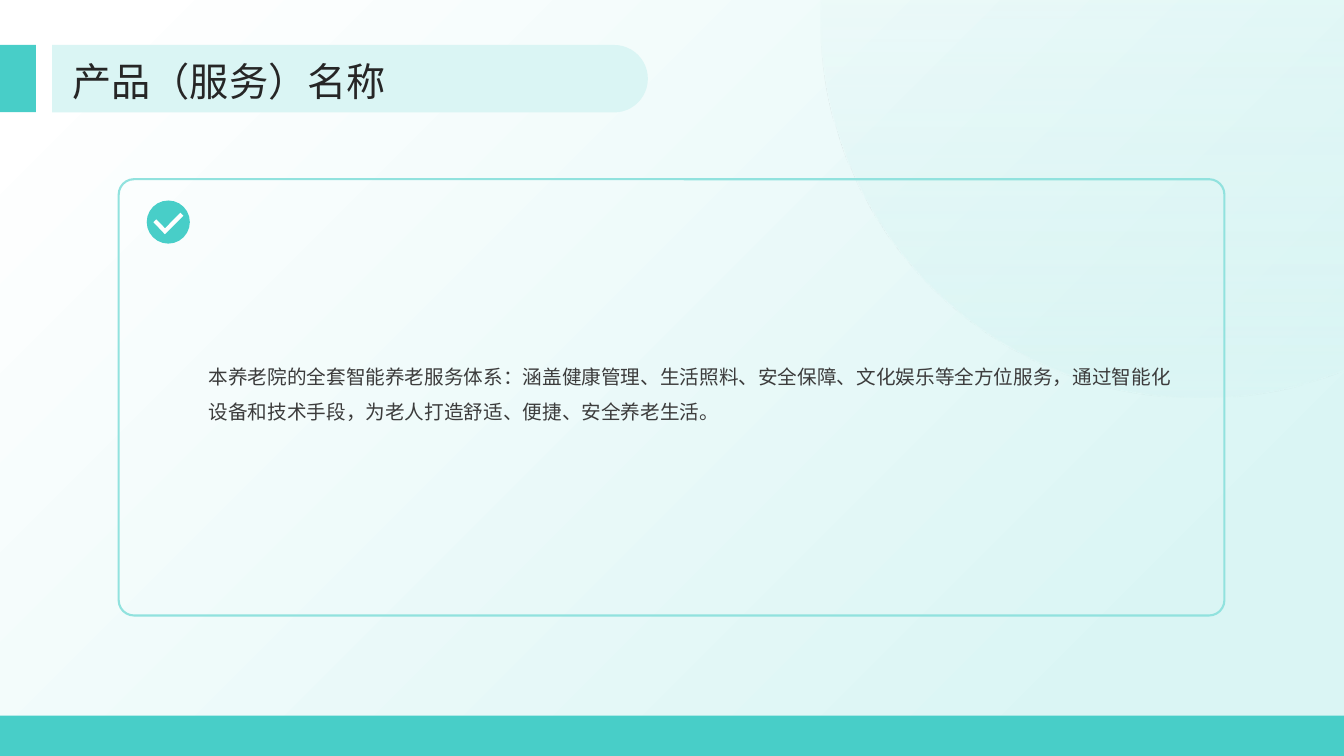
from dataclasses import dataclass, field

from lxml import etree
from pptx import Presentation
from pptx.dml.color import RGBColor
from pptx.enum.shapes import MSO_SHAPE
from pptx.enum.text import MSO_ANCHOR, MSO_AUTO_SIZE, PP_ALIGN
from pptx.oxml.ns import qn
from pptx.shapes.base import BaseShape
from pptx.slide import Slide
from pptx.util import Pt

RECT = MSO_SHAPE.RECTANGLE
OVAL = MSO_SHAPE.OVAL
ROUNDED = MSO_SHAPE.ROUNDED_RECTANGLE
ROUND_TOP = MSO_SHAPE.ROUND_2_SAME_RECTANGLE
CONNECTOR_DOT = MSO_SHAPE.FLOWCHART_CONNECTOR
MIDDLE = MSO_ANCHOR.MIDDLE
NO_AUTOFIT = MSO_AUTO_SIZE.NONE
LEFT = PP_ALIGN.LEFT

SLIDE_WIDTH, SLIDE_HEIGHT = 960, 540
TITLE_AND_CONTENT = 1


@dataclass(frozen=True)
class Theme:
    accent: str = "48CEC8"
    frame: str = "91E2DE"
    pale: str = "DAF5F4"
    white: str = "FFFFFF"
    title_text: str = "262626"
    body_text: str = "3C3C3C"
    font: str = "Noto Sans CJK SC"
    title_size: float = 28
    body_size: float = 14


@dataclass(frozen=True)
class Stop:
    position: float
    color: str
    alpha: int = 100


@dataclass(frozen=True)
class Panel:
    kind: int
    box: tuple[float, float, float, float]
    fill: str | None = None
    gradient: tuple[Stop, ...] = ()
    line: str | None = None
    rotation: float = 0
    adjustments: tuple[float, ...] = ()


@dataclass(frozen=True)
class Wording:
    text: str
    box: tuple[float, float, float, float]
    size: float
    color: str
    line_spacing: float
    margins: tuple[float, float, float, float] = field(default=(7.2, 3.6, 7.2, 3.6))


THEME = Theme()

PANELS = [
    Panel(RECT, (0, 0, SLIDE_WIDTH, SLIDE_HEIGHT), rotation=180,
          gradient=(Stop(0.14, THEME.pale), Stop(0.95, THEME.white))),
    Panel(OVAL, (586.1, -258.5, 542.2, 542.2), rotation=45,
          gradient=(Stop(0.4, THEME.pale, 0), Stop(1, THEME.pale))),
    Panel(RECT, (0, 511.2, SLIDE_WIDTH, 28.8), fill=THEME.accent),
    Panel(ROUNDED, (84.8, 128, 789.8, 311.6), line=THEME.frame, adjustments=(0.035,)),
    Panel(CONNECTOR_DOT, (104.8, 143.2, 30.8, 30.8), fill=THEME.accent),
    Panel(RECT, (0, 32, 25.7, 48.2), fill=THEME.accent),
    Panel(ROUND_TOP, (225.9, -156.5, 48.2, 425.5), fill=THEME.pale,
          rotation=90, adjustments=(0.5, 0)),
]

CHECK_MARK = [(128.9, 151.9), (131, 154.1), (117.8, 167.3),
              (109.6, 158.7), (111.7, 156.7), (117.9, 163.1)]

TITLE = Wording("产品（服务）名称", (51.8, 37.4, 855.4, 36.7),
                THEME.title_size, THEME.title_text, 1.1, (0, 0, 0, 0))
BODY = Wording(
    "本养老院的全套智能养老服务体系：涵盖健康管理、生活照料、安全保障、文化娱乐等全方位服务，"
    "通过智能化设备和技术手段，为老人打造舒适、便捷、安全养老生活。",
    (141.8, 142.6, 709.2, 269.3), THEME.body_size, THEME.body_text, 1.5)


def rgb(color: str) -> RGBColor:
    return RGBColor.from_string(color)


def fill_gradient(shape: BaseShape, stops: tuple[Stop, ...]) -> None:
    """Fill along the falling diagonal, with transparency where a stop asks for it."""
    shape.fill.gradient()
    shape.fill.gradient_angle = 315
    for target, stop in zip(shape.fill.gradient_stops, stops):
        target.position = stop.position
        target.color.rgb = rgb(stop.color)
    colors = shape._element.spPr.iter(qn("a:srgbClr"))
    for color, stop in zip(colors, stops):
        if stop.alpha < 100:
            etree.SubElement(color, qn("a:alpha"), val=str(stop.alpha * 1000))


def add_panel(slide: Slide, panel: Panel) -> None:
    shape = slide.shapes.add_shape(panel.kind, *map(Pt, panel.box))
    shape.shadow.inherit = False
    shape.rotation = panel.rotation
    for index, value in enumerate(panel.adjustments):
        shape.adjustments[index] = value
    if panel.gradient:
        fill_gradient(shape, panel.gradient)
    elif panel.fill:
        shape.fill.solid()
        shape.fill.fore_color.rgb = rgb(panel.fill)
    else:
        shape.fill.background()
    if panel.line:
        shape.line.color.rgb = rgb(panel.line)
        shape.line.width = Pt(1.5)
    else:
        shape.line.fill.background()


def add_check_mark(slide: Slide) -> None:
    start, *rest = [(Pt(x), Pt(y)) for x, y in CHECK_MARK]
    builder = slide.shapes.build_freeform(*start)
    builder.add_line_segments(rest, close=True)
    check = builder.convert_to_shape()
    check.shadow.inherit = False
    check.fill.solid()
    check.fill.fore_color.rgb = rgb(THEME.white)
    check.line.fill.background()


def fill_placeholder(slide: Slide, index: int, wording: Wording) -> None:
    """Move a placeholder to the front and set its place, text and format."""
    holder = slide.placeholders[index]
    holder.left, holder.top, holder.width, holder.height = map(Pt, wording.box)
    slide.shapes._spTree.append(holder._element)

    frame = holder.text_frame
    frame.text = wording.text
    frame.word_wrap = True
    frame.auto_size = NO_AUTOFIT
    frame.vertical_anchor = MIDDLE
    (frame.margin_left, frame.margin_top,
     frame.margin_right, frame.margin_bottom) = map(Pt, wording.margins)

    paragraph = frame.paragraphs[0]
    paragraph.alignment = LEFT
    paragraph.line_spacing = wording.line_spacing
    paragraph.space_before = Pt(0)
    properties = paragraph._p.get_or_add_pPr()
    properties.set("marL", "0")
    properties.set("indent", "0")
    etree.SubElement(properties, qn("a:buNone"))
    font = paragraph.font
    font.size = Pt(wording.size)
    font.color.rgb = rgb(wording.color)
    font.name = THEME.font
    etree.SubElement(properties.find(qn("a:defRPr")), qn("a:ea"), typeface=THEME.font)


def main() -> None:
    deck = Presentation()
    deck.slide_width, deck.slide_height = Pt(SLIDE_WIDTH), Pt(SLIDE_HEIGHT)
    slide = deck.slides.add_slide(deck.slide_layouts[TITLE_AND_CONTENT])
    for panel in PANELS:
        add_panel(slide, panel)
    add_check_mark(slide)
    for index, wording in enumerate((TITLE, BODY)):
        fill_placeholder(slide, index, wording)
    deck.save("out.pptx")


if __name__ == "__main__":
    main()
